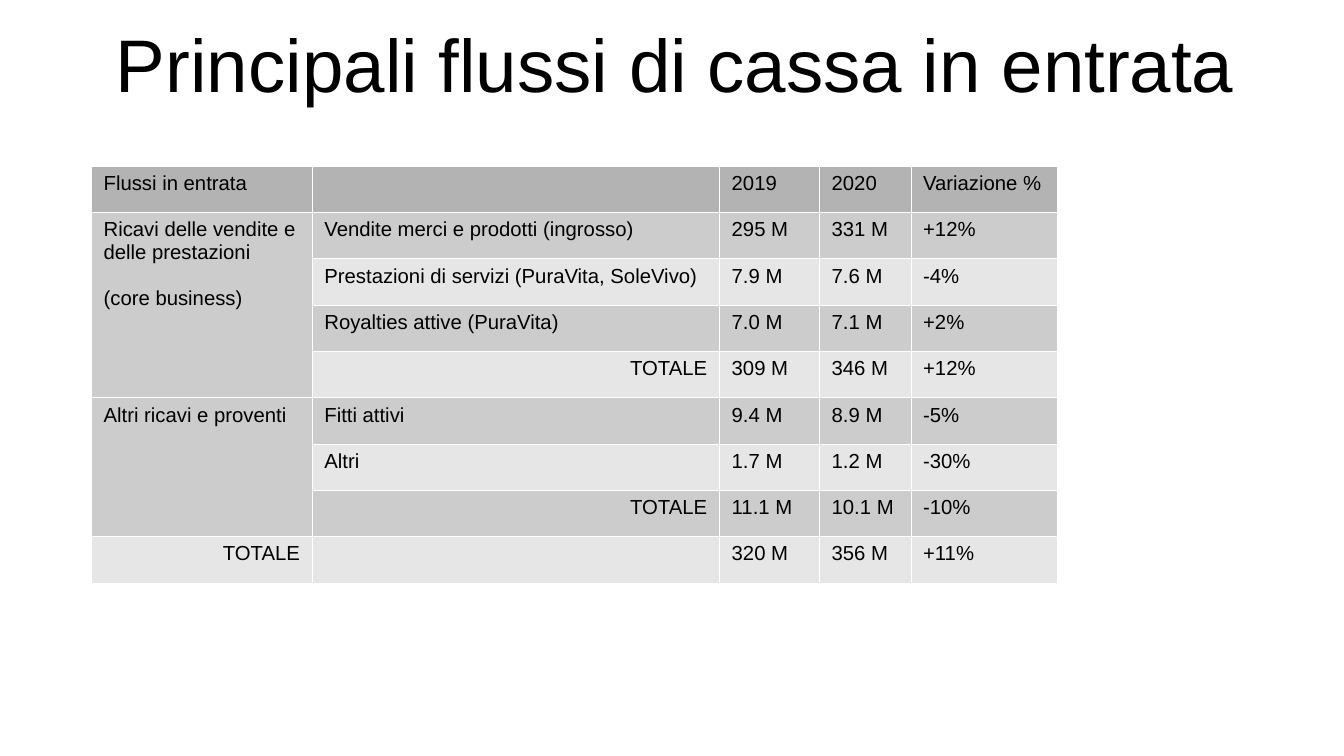
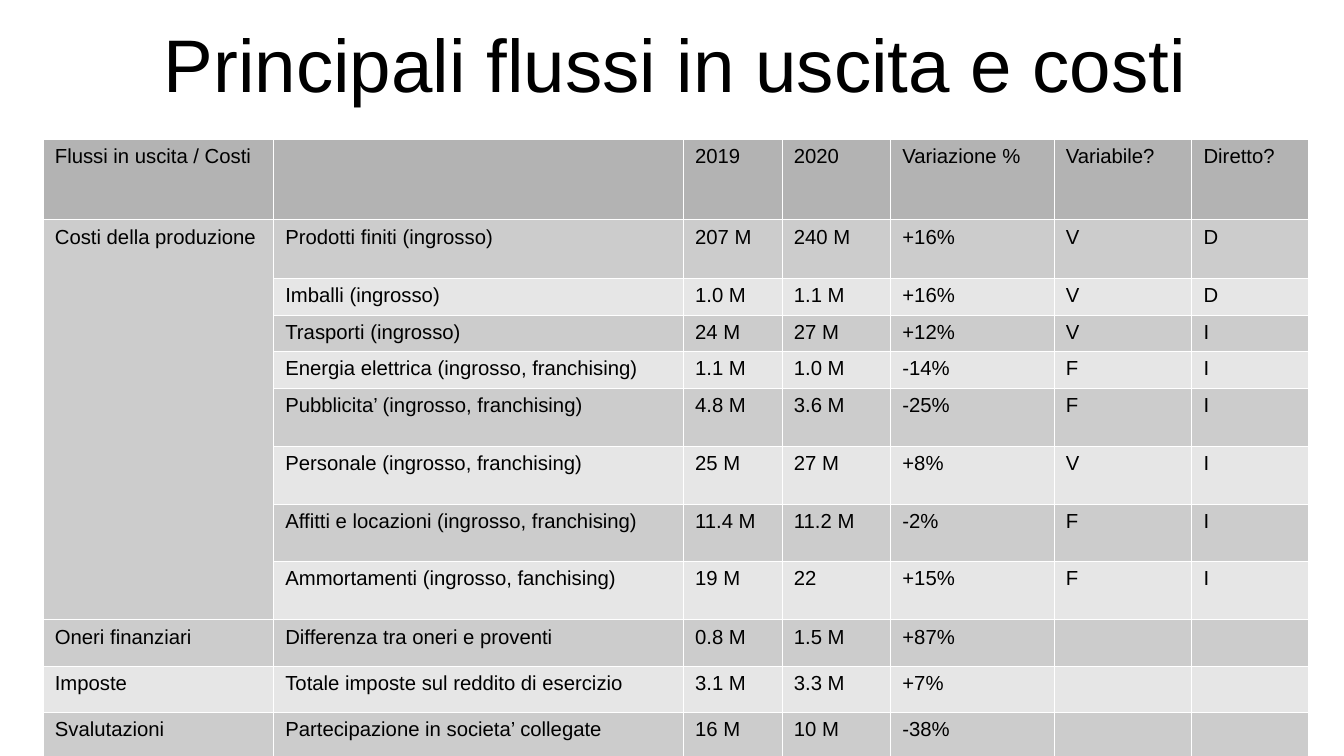
from lxml.etree import SubElement
from pptx import Presentation
from pptx.dml.color import RGBColor
from pptx.enum.text import MSO_ANCHOR as Anchor, PP_ALIGN as Align
from pptx.oxml.ns import qn
from pptx.util import Inches, Pt

COLORS = {"text": "000000", "border": "FFFFFF", "header": "B3B3B3",
          "dark": "CCCCCC", "light": "E6E6E6"}
FONT = "Arial"
TOTAL = "TOTALE"

INFLOWS = [
    ["Flussi in entrata", "", "2019", "2020", "Variazione %"],
    ["Ricavi delle vendite e delle prestazioni\n(core business)",
     "Vendite merci e prodotti (ingrosso)", "295 M", "331 M", "+12%"],
    [None, "Prestazioni di servizi (PuraVita, SoleVivo)", "7.9 M", "7.6 M", "-4%"],
    [None, "Royalties attive (PuraVita)", "7.0 M", "7.1 M", "+2%"],
    [None, TOTAL, "309 M", "346 M", "+12%"],
    ["Altri ricavi e proventi", "Fitti attivi", "9.4 M", "8.9 M", "-5%"],
    [None, "Altri", "1.7 M", "1.2 M", "-30%"],
    [None, TOTAL, "11.1 M", "10.1 M", "-10%"],
    [TOTAL, "", "320 M", "356 M", "+11%"],
]

OUTFLOWS = [
    ["Flussi in uscita / Costi", "", "2019", "2020", "Variazione %", "Variabile?", "Diretto?"],
    ["Costi della produzione", "Prodotti finiti (ingrosso)", "207 M", "240 M", "+16%", "V", "D"],
    [None, "Imballi (ingrosso)", "1.0 M", "1.1 M", "+16%", "V", "D"],
    [None, "Trasporti (ingrosso)", "24 M", "27 M", "+12%", "V", "I"],
    [None, "Energia elettrica (ingrosso, franchising)", "1.1 M", "1.0 M", "-14%", "F", "I"],
    [None, "Pubblicita’ (ingrosso, franchising)", "4.8 M", "3.6 M", "-25%", "F", "I"],
    [None, "Personale (ingrosso, franchising)", "25 M", "27 M", "+8%", "V", "I"],
    [None, "Affitti e locazioni (ingrosso, franchising)", "11.4 M", "11.2 M", "-2%", "F", "I"],
    [None, "Ammortamenti (ingrosso, fanchising)", "19 M", "22", "+15%", "F", "I"],
    ["Oneri finanziari", "Differenza tra oneri e proventi", "0.8 M", "1.5 M", "+87%", "", ""],
    ["Imposte", "Totale imposte sul reddito di esercizio", "3.1 M", "3.3 M", "+7%", "", ""],
    ["Svalutazioni", "Partecipazione in societa’ collegate", "16 M", "10 M", "-38%", "", ""],
]


def rgb(name):
    return RGBColor.from_string(COLORS[name])


def style_paragraph(p, size, align):
    p.alignment = align
    p.font.name = FONT
    p.font.size = Pt(size)
    p.font.bold = False
    p.font.color.rgb = rgb("text")


def add_title(s, text):
    box = s.shapes.add_textbox(Inches(0.58), 0, Inches(9.92), Inches(1.03))
    tf = box.text_frame
    tf.word_wrap = True
    tf.vertical_anchor = Anchor.MIDDLE
    tf.margin_left = tf.margin_right = tf.margin_top = tf.margin_bottom = 0
    tf.text = text
    style_paragraph(tf.paragraphs[0], 44, Align.CENTER)


def add_borders(cell):
    tc_pr = cell._tc.get_or_add_tcPr()
    for side in ("L", "R", "T", "B"):
        ln = SubElement(tc_pr, qn(f"a:ln{side}"), w=str(Pt(0.06)))
        fill = SubElement(ln, qn("a:solidFill"))
        SubElement(fill, qn("a:srgbClr"), val=COLORS["border"])


def fill_cell(cell, text, color):
    add_borders(cell)
    cell.fill.solid()
    cell.fill.fore_color.rgb = rgb(color)
    if text is None:
        return
    tf = cell.text_frame
    tf.text = text
    for i, p in enumerate(tf.paragraphs):
        style_paragraph(p, 12, Align.RIGHT if text == TOTAL else Align.LEFT)
        if i:
            p.space_before = Pt(13.5)


def merge_groups(table, rows):
    start = 0
    for r, row in enumerate(rows):
        if row[0] is not None:
            start = r
        elif r + 1 == len(rows) or rows[r + 1][0] is not None:
            table.cell(start, 0).merge(table.cell(r, 0))


def add_flow_table(s, left, top, widths, heights, rows):
    frame = s.shapes.add_table(len(rows), len(widths), Inches(left), Inches(top),
                               Inches(sum(widths)), Inches(sum(heights)))
    table = frame.table
    table.first_row = table.horz_banding = False
    for column, width in zip(table.columns, widths):
        column.width = Inches(width)
    for r, (row, height) in enumerate(zip(rows, heights)):
        table.rows[r].height = Inches(height)
        color = "header" if r == 0 else "dark" if r % 2 else "light"
        for c, text in enumerate(row):
            fill_cell(table.cell(r, c), text, color)
    merge_groups(table, rows)


def add_flow_slide(prs, title, *table_args):
    s = prs.slides.add_slide(prs.slide_layouts[6])
    add_title(s, title)
    add_flow_table(s, *table_args)


def main():
    prs = Presentation()
    prs.slide_width, prs.slide_height = Inches(11.02), Inches(6.2)
    add_flow_slide(prs, "Principali flussi di cassa in entrata", 0.75, 1.36,
                   [1.81, 3.34, 0.82, 0.75, 1.2], [0.38] * len(INFLOWS), INFLOWS)
    add_flow_slide(prs, "Principali flussi in uscita e costi", 0.35, 1.14,
                   [1.89, 3.36, 0.81, 0.89, 1.34, 1.13, 0.96],
                   [0.66, 0.48] + [0.29] * 3 + [0.48, 0.47, 0.47, 0.48] + [0.38] * 3,
                   OUTFLOWS)
    prs.save("out.pptx")


main()
